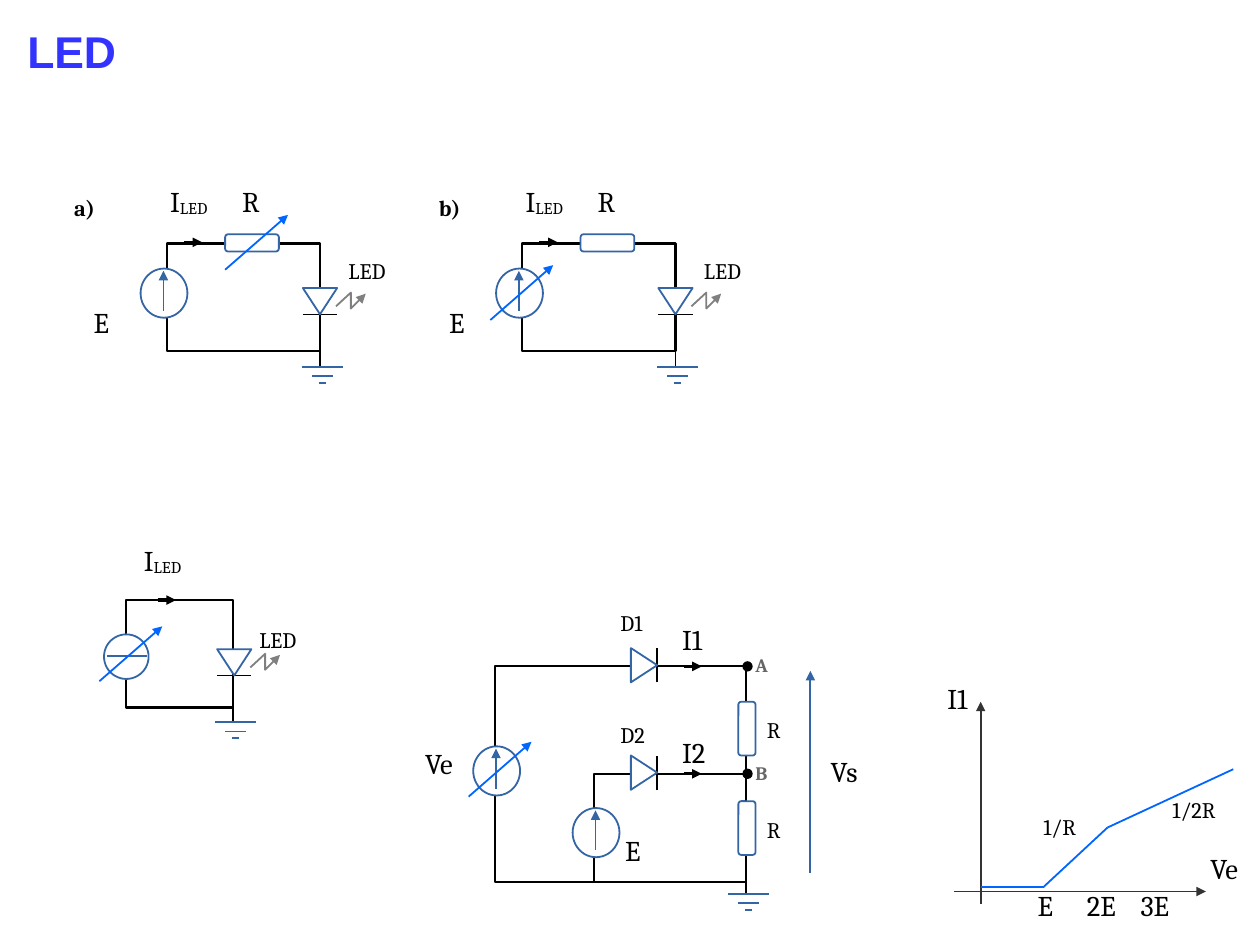
import itertools

import pptx
import pptx.dml.color
import pptx.enum.shapes
import pptx.enum.text
import pptx.oxml.ns
import pptx.util
from lxml import etree

PX = 9144  # one px is a hundredth of an inch
COLORS = {
    "title": "3333FF", "ink": "000000", "part": "3465A4", "control": "0066FF",
    "light": "808080", "node": "666666", "axis": "333333", "paper": "FFFFFF",
}
SHAPES = pptx.enum.shapes.MSO_SHAPE
qn = pptx.oxml.ns.qn


def rgb(name):
    return pptx.dml.color.RGBColor.from_string(COLORS[name])


# Drawing helpers
def style_line(line, color, width, arrow=False):
    line.color.rgb = rgb(color)
    line.width = pptx.util.Pt(width)
    if arrow:
        etree.SubElement(line._get_or_add_ln(), qn("a:tailEnd"), type="triangle")


def style_shape(shape, fill, color, width, arrow=False):
    shape.shadow.inherit = False
    if fill:
        shape.fill.solid()
        shape.fill.fore_color.rgb = rgb(fill)
    else:
        shape.fill.background()
    style_line(shape.line, color, width, arrow)


def add_line(slide, x1, y1, x2, y2, color="part", width=1.13, arrow=False):
    connector = slide.shapes.add_connector(
        pptx.enum.shapes.MSO_CONNECTOR.STRAIGHT, x1 * PX, y1 * PX, x2 * PX, y2 * PX)
    style_line(connector.line, color, width, arrow)
    etree.SubElement(connector._element.spPr, qn("a:effectLst"))


def add_part(slide, kind, x, y, width, height, fill="paper", color="part", weight=1.13):
    shape = slide.shapes.add_shape(kind, x * PX, y * PX, width * PX, height * PX)
    style_shape(shape, fill, color, weight)


def add_outline(slide, points, closed, fill, color, arrow=False):
    builder = slide.shapes.build_freeform(*points[0], scale=PX)
    builder.add_line_segments(points[1:], close=closed)
    style_shape(builder.convert_to_shape(), fill, color, 1.13, arrow)


def add_label(slide, x, y, text, size=18, width=65, bold=False, color="ink",
              font="Cambria", subscript=""):
    height = {14: 33, 28: 53}.get(size, 47)
    box = slide.shapes.add_textbox(x * PX, y * PX, width * PX, height * PX)
    frame = box.text_frame
    frame.word_wrap = False
    frame.auto_size = pptx.enum.text.MSO_AUTO_SIZE.SHAPE_TO_FIT_TEXT
    frame.text = text
    paragraph = frame.paragraphs[0]
    if subscript:
        run = paragraph.add_run()
        run.text = subscript
        run._r.get_or_add_rPr().set("baseline", "-8000")
    for run in paragraph.runs:
        run.font.size = pptx.util.Pt(size)
        run.font.name = font
        run.font.bold = bold
        run.font.color.rgb = rgb(color)


# Circuit symbols
def add_wires(slide, x, y, width, height):
    add_part(slide, SHAPES.RECTANGLE, x, y, width, height, None, "ink", 1.42)


def add_resistor(slide, x, y, width, height):
    add_part(slide, SHAPES.ROUNDED_RECTANGLE, x, y, width, height)


def add_voltage_source(slide, x, y):
    add_part(slide, SHAPES.OVAL, x, y, 41, 43)
    add_line(slide, x + 20, y + 37, x + 20, y + 2, arrow=True)


def add_control_arrow(slide, x, y):
    add_line(slide, x, y, x + 55, y - 48, "control", arrow=True)


def add_current_arrow(slide, x, y):
    add_line(slide, x, y, x + 16, y, "ink", 0, arrow=True)


def add_led(slide, center, top):
    bottom = top + 23
    add_line(slide, center - 15, bottom, center + 15, bottom, "ink", 1.02)
    add_outline(slide, [(center, bottom), (center + 15, top), (center - 15, top)],
                True, "paper", "part")
    light = [(14, 16), (27, 4), (27, 18), (40, 5)]
    add_outline(slide, [(center + dx, top + dy) for dx, dy in light],
                False, None, "light", arrow=True)


def add_diode(slide, x, y):
    add_line(slide, x + 23, y + 15, x + 23, y - 15, "ink", 1.02)
    add_outline(slide, [(x + 23, y), (x, y - 15), (x, y + 15)], True, "paper", "part")


def add_ground(slide, x, y, stub):
    add_line(slide, x, y, x, y + stub, "ink")
    for half, drop in ((18, 0), (9, 8), (3, 14)):
        add_line(slide, x + 2 - half, y + stub + drop, x + 2 + half, y + stub + drop)


# Circuits a) and b): LED in series with a resistor
def add_series_circuit(slide, x, y, width, height, name, name_gap, variable_resistor):
    add_wires(slide, x, y, width, height)
    add_led(slide, x + width, y + 39)
    add_resistor(slide, x + 51, y - 8, 47, 15)
    add_ground(slide, x + width, y + height, 14)
    add_voltage_source(slide, x - 23, y + 22)
    add_current_arrow(slide, x + 15, y - 1)
    if variable_resistor:
        add_control_arrow(slide, x + 51, y + 23)
    else:
        add_control_arrow(slide, x - 28, y + 67)
    add_label(slide, x + 149, y + 7, "LED", 14, 58)
    add_label(slide, x - 74, y + 49, "E")
    add_label(slide, x + 56, y - 57, "R")
    add_label(slide, x - 7, y - 57, "I", subscript="LED")
    add_label(slide, x - name_gap, y - 48, name, 14, bold=True)


# LED driven by a current source
def add_current_circuit(slide, x, y, side):
    add_wires(slide, x, y, side, side)
    add_led(slide, x + side + 1, y + 43)
    add_ground(slide, x + side, y + side, 13)
    add_part(slide, SHAPES.OVAL, x - 19, y + 30, 39, 39)
    add_line(slide, x - 16, y + 49, x + 19, y + 49)
    add_current_arrow(slide, x + 28, y)
    add_control_arrow(slide, x - 23, y + 71)
    add_label(slide, x + 107, y + 18, "LED", 14, 58)
    add_label(slide, x + 6, y - 55, "I", subscript="LED")


# Two diode branches feeding a resistor ladder
def add_ladder_circuit(slide, x, y, width, height):
    step = height // 2
    right = x + width
    add_wires(slide, x, y, width, height)
    add_wires(slide, x + 87, y + step, width - 87, height - step)
    branches = (("D1", -55, "I1", -44, "A", 31), ("D2", -51, "I2", -39, "B", 24))
    for index, (diode, diode_dy, current, current_dy, node, drop) in enumerate(branches):
        wire = y + index * step
        add_diode(slide, x + 119, wire - 1)
        add_resistor(slide, right - 7, wire + drop, 15, 47)
        add_current_arrow(slide, x + 165, wire)
        add_part(slide, SHAPES.OVAL, right - 3, wire - 4, 8, 8, "ink", "ink", 0)
        add_label(slide, x + 100, wire + diode_dy, diode, 14, 58)
        add_label(slide, x + 154, wire + current_dy, current)
        add_label(slide, right + 8, wire + drop + 8, "R", 14, 58)
        add_label(slide, right - 2, wire - 16, node, 12, bold=True, color="node")
    add_voltage_source(slide, x + 68, y + 124)
    add_label(slide, x + 104, y + 141, "E", width=37)
    add_voltage_source(slide, x - 19, y + 70)
    add_control_arrow(slide, x - 23, y + 114)
    add_label(slide, x - 71, y + 65, "Ve", width=45)
    add_line(slide, right + 56, y + 181, right + 56, y + 4, arrow=True)
    add_label(slide, right + 64, y + 72, "Vs", width=44)
    add_ground(slide, right, y + height, 10)


# Graph of I1 against Ve, placed from its axis crossing
def add_graph(slide, x, y, width, height):
    add_line(slide, x - 23, y, x + width, y, "axis", arrow=True)
    add_line(slide, x, y + 11, x, y - height, "axis", arrow=True)
    curve = [(0, 4), (55, 4), (111, 56), (221, 107)]
    for (x1, y1), (x2, y2) in itertools.pairwise(curve):
        add_line(slide, x + x1, y - y1, x + x2, y - y2, "control")
    add_label(slide, x + width - 6, y - 40, "Ve", width=45)
    add_label(slide, x - 39, y - height - 23, "I1")
    for text, dx, box_width in (("E", 40, 37), ("2E", 83, 48), ("3E", 130, 48)):
        add_label(slide, x + dx, y - 8, text, width=box_width)
    add_label(slide, x + 45, y - 73, "1/R", 14, 58)
    add_label(slide, x + 158, y - 88, "1/2R", 14, 63)


def main():
    presentation = pptx.Presentation()
    presentation.slide_width = pptx.util.Cm(28)
    presentation.slide_height = pptx.util.Cm(21)
    slide = presentation.slides.add_slide(presentation.slide_layouts[6])
    add_label(slide, 14, 16, "LED", 28, 212, True, "title", "Arial")
    add_series_circuit(slide, 146, 213, 134, 94, "a)", 91, True)
    add_series_circuit(slide, 457, 213, 134, 94, "b)", 83, False)
    add_current_circuit(slide, 110, 525, 94)
    add_ladder_circuit(slide, 433, 583, 220, 189)
    add_graph(slide, 858, 780, 197, 166)
    presentation.save("out.pptx")


if __name__ == "__main__":
    main()
